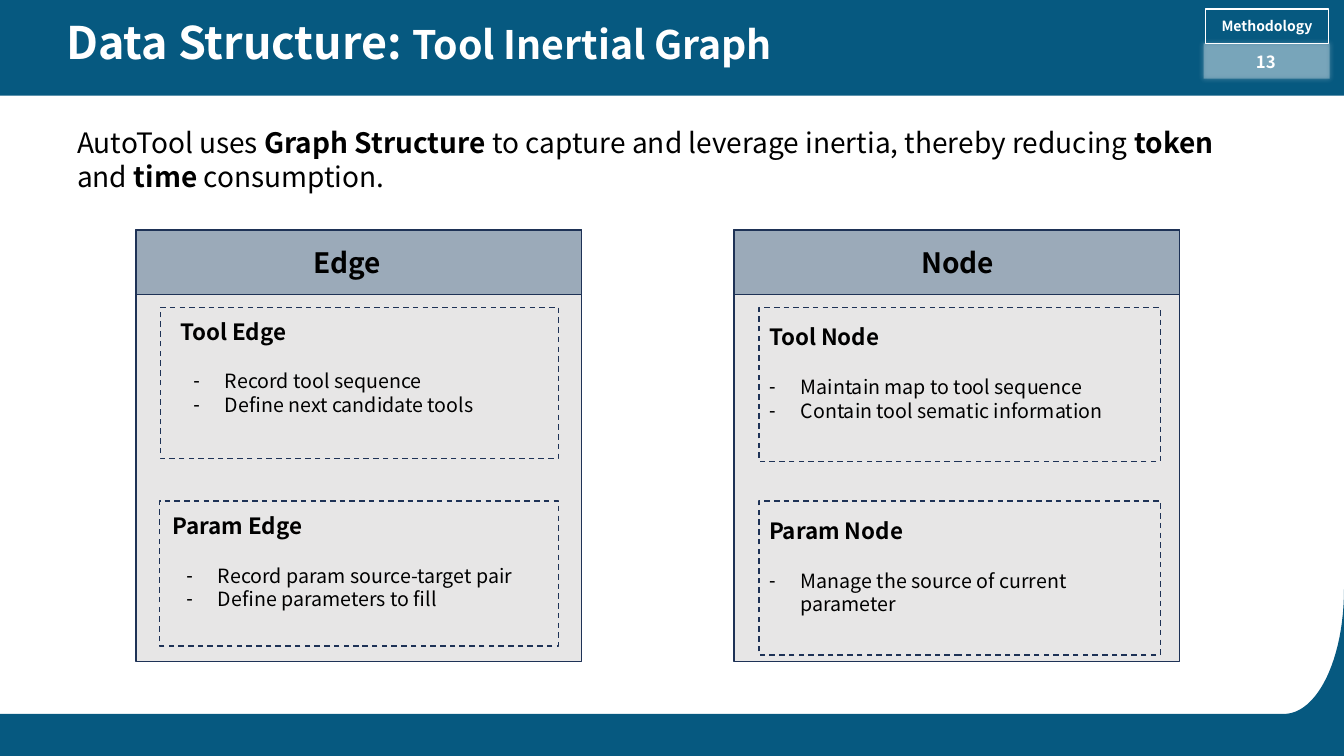
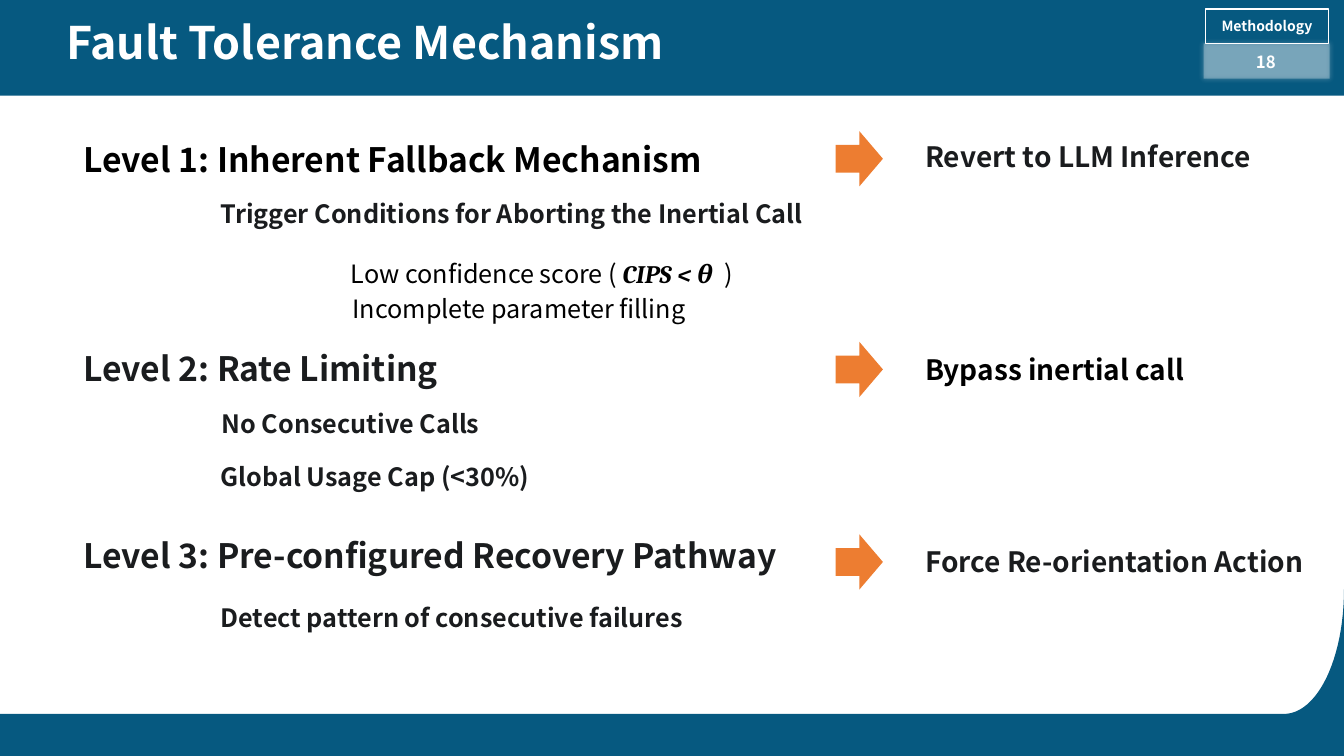
"""Build two methodology slides: the tool inertial graph and fault tolerance."""
import pptx
import pptx.util
import pptx.dml.color
import pptx.enum.dml
import pptx.enum.shapes
import pptx.enum.text
import pptx.oxml
import pptx.oxml.ns

HUES = {"band": "065980", "white": "FFFFFF", "black": "000000", "ink": "1A1C1E",
        "navy": "1E3256", "panel": "E7E6E6", "head": "9BAAB9", "arrow": "ED7D31"}
FONT = "Noto Sans CJK SC"
KINDS = pptx.enum.shapes.MSO_SHAPE
ALIGN = pptx.enum.text.PP_ALIGN
ANCHOR = pptx.enum.text.MSO_ANCHOR
SPACE = 'xmlns:a="http://schemas.openxmlformats.org/drawingml/2006/main"'


def paint(shape, fill=None, line=None, dash=False):
    """Set the fill and outline of a shape and drop its shadow."""
    shape.shadow.inherit = False
    if fill:
        shape.fill.solid()
        shape.fill.fore_color.rgb = pptx.dml.color.RGBColor.from_string(HUES[fill])
    else:
        shape.fill.background()
    if line:
        shape.line.color.rgb = pptx.dml.color.RGBColor.from_string(HUES[line])
        shape.line.width = pptx.util.Pt(1)
        if dash:
            shape.line.dash_style = pptx.enum.dml.MSO_LINE.DASH
    else:
        shape.line.fill.background()


def write(shape, parts, size, hue="black", bold=True):
    """Fill a shape with one text, or with several runs, in one style."""
    frame = shape.text_frame
    if isinstance(parts, str):
        frame.text = parts
    else:
        for part in parts:
            frame.paragraphs[0].add_run().text = part
    frame.word_wrap = True
    frame.auto_size = pptx.enum.text.MSO_AUTO_SIZE.NONE
    frame.vertical_anchor = ANCHOR.TOP
    for para in frame.paragraphs:
        para.alignment = ALIGN.LEFT
        para.space_before = pptx.util.Pt(0)
        for run in para.runs:
            run.font.name = FONT
            run.font.size = pptx.util.Pt(size)
            run.font.bold = bold
            run.font.color.rgb = pptx.dml.color.RGBColor.from_string(HUES[hue])
    return frame


deck = pptx.Presentation()
deck.slide_width = pptx.util.Pt(960)
deck.slide_height = pptx.util.Pt(540)
graph = deck.slides.add_slide(deck.slide_layouts[4])
fault = deck.slides.add_slide(deck.slide_layouts[5])

top = graph.shapes.add_shape(KINDS.RECTANGLE, *map(pptx.util.Pt, (0, 0, 960, 68.4)))
paint(top, "band")

ends = [(917, 510), (941, 510), (960, 470.5), (960, 421)]
curve = []
for step in range(25):
    t = step / 24
    rates = ((1 - t) ** 3, 3 * t * (1 - t) ** 2, 3 * t ** 2 * (1 - t), t ** 3)
    curve.append([sum(r * end[axis] for r, end in zip(rates, ends)) for axis in (0, 1)])
edge = [(960, 540), (0, 540), (0, 510)] + curve
pen = graph.shapes.build_freeform(pptx.util.Pt(960), pptx.util.Pt(421))
pen.add_line_segments([(pptx.util.Pt(x), pptx.util.Pt(y)) for x, y in edge])
foot = pen.convert_to_shape()
paint(foot, "band")

plate = graph.shapes.add_shape(KINDS.RECTANGLE, *map(pptx.util.Pt, (859.7, 31, 90, 25.2)))
paint(plate, "white")
tint = plate.element.spPr.find(".//" + pptx.oxml.ns.qn("a:srgbClr"))
tint.append(pptx.oxml.parse_xml(f'<a:alpha {SPACE} val="30000"/>'))
glow = plate.element.spPr.find(pptx.oxml.ns.qn("a:effectLst"))
glow.append(pptx.oxml.parse_xml(
    f'<a:outerShdw {SPACE} blurRad="50800" dist="0" dir="0">'
    '<a:srgbClr val="FFFFFF"><a:alpha val="80000"/></a:srgbClr></a:outerShdw>'))

tag = graph.shapes.add_shape(KINDS.RECTANGLE, *map(pptx.util.Pt, (861, 6.5, 88, 24.5)))
paint(tag, line="white")
frame = write(tag, "Methodology", 10, "white")
frame.vertical_anchor = ANCHOR.MIDDLE
frame.word_wrap = False
frame.paragraphs[0].alignment = ALIGN.CENTER

for shape in (top, foot, plate, tag):
    deck.slide_master.shapes.element.append(shape.element)

for slide, title, count in (
        (graph, ("Data Structure: ", "Tool Inertial Graph"), "13"),
        (fault, ("Fault Tolerance Mechanism",), "18")):
    head = slide.shapes.title
    head.left, head.top, head.width, head.height = map(pptx.util.Pt, (40, 7.2, 643, 57.6))
    frame = write(head, title, 32, "white")
    for run in frame.paragraphs[0].runs[1:]:
        run.font.size = pptx.util.Pt(28)
    box = slide.shapes.add_textbox(*map(pptx.util.Pt, (862.5, 34, 83.5, 20)))
    frame = write(box, count, 12, "white")
    frame.margin_top = frame.margin_bottom = 0
    frame.vertical_anchor = ANCHOR.MIDDLE
    frame.paragraphs[0].alignment = ALIGN.CENTER

box = graph.shapes.add_textbox(*map(pptx.util.Pt, (48, 86.4, 863, 55.4)))
frame = write(box, ("AutoTool uses ", "Graph Structure ",
                    "to capture and leverage inertia, thereby reducing ",
                    "token", " and ", "time", " consumption."), 20, bold=False)
for run in frame.paragraphs[0].runs[1::2]:
    run.font.bold = True

for name, left, mark in (("Edge", 97.2, 216.7), ("Node", 524.2, 651)):
    for high, fill in ((308.2, "panel"), (46, "head")):
        panel = graph.shapes.add_shape(
            KINDS.RECTANGLE, *map(pptx.util.Pt, (left, 164.2, 318.2, high)))
        paint(panel, fill, "navy")
    box = graph.shapes.add_textbox(*map(pptx.util.Pt, (mark, 172, 72, 32)))
    write(box, name, 20)

cards = [
    ("Tool Edge", "Record tool sequence\nDefine next candidate tools",
     (114.5, 219.6, 284.4, 108), (121.7, 224), (131, 260)),
    ("Param Edge", "Record param source-target pair\nDefine parameters to fill",
     (113.8, 357.8, 285, 103.7), (116, 362), (126, 399)),
    ("Tool Node", "Maintain map to tool sequence\nContain tool sematic information",
     (542.2, 219.6, 286.6, 110), (542.2, 227.5), (542.2, 264.2)),
    ("Param Node", "Manage the source of current parameter",
     (542.2, 357.8, 286.6, 110), (542.2, 366), (542.2, 402.5)),
]
bodies = list(graph.placeholders)[1:]
for body, (name, items, frame, spot, start) in zip(bodies, cards):
    card = graph.shapes.add_shape(KINDS.RECTANGLE, *map(pptx.util.Pt, frame))
    paint(card, line="navy", dash=True)
    box = graph.shapes.add_textbox(*map(pptx.util.Pt, (*spot, 120, 27)))
    write(box, name, 16)
    body.left, body.top, body.width, body.height = map(pptx.util.Pt, (*start, 271, 41))
    for para in write(body, items, 14, bold=False).paragraphs:
        props = para._p.get_or_add_pPr()
        props.set("marL", str(pptx.util.Pt(22.5)))
        props.set("indent", str(-pptx.util.Pt(22.5)))
        props.append(pptx.oxml.parse_xml(f'<a:buChar {SPACE} char="-"/>'))
    graph.shapes.element.append(body.element)

notes = [
    ("Level 1: Inherent Fallback Mechanism", 52.6, 95.8, 24, "black", True),
    ("Level 2: Rate Limiting", 52.6, 244.8, 24, "ink", True),
    ("Level 3: Pre-configured Recovery Pathway", 52.6, 378.7, 24, "ink", True),
    ("Trigger Conditions for Aborting the Inertial Call", 150.5, 138.2, 18, "ink", True),
    ("No Consecutive Calls", 151.2, 288, 18, "ink", True),
    ("Global Usage Cap (<30%)", 150.5, 326.2, 18, "ink", True),
    ("Detect pattern of consecutive failures", 150.5, 427, 18, "ink", True),
    ("Incomplete parameter filling", 244.8, 206, 18, "black", False),
    ("Revert to LLM Inference", 653.8, 95.8, 20, "ink", True),
    ("Bypass inertial call", 653.8, 248.4, 20, "black", True),
    ("Force Re-orientation Action", 653.8, 385.2, 20, "ink", True),
]
for words, left, high, size, hue, bold in notes:
    wide = 296 if left > 600 else 540
    box = fault.shapes.add_textbox(*map(pptx.util.Pt, (left, high, wide, size * 1.6)))
    write(box, words, size, hue, bold)

box = fault.shapes.add_textbox(*map(pptx.util.Pt, (243.5, 180.7, 400, 28.8)))
frame = write(box, ("Low confidence score ( ", "CIPS < θ ", " )"), 18, bold=False)
font = frame.paragraphs[0].runs[1].font
font.name = "Cambria"
font.bold = font.italic = True

for high in (93.6, 244.1, 381.6):
    arrow = fault.shapes.add_shape(
        KINDS.RIGHT_ARROW, *map(pptx.util.Pt, (596.9, high, 33.8, 39.6)))
    paint(arrow, "arrow")

deck.save("out.pptx")
